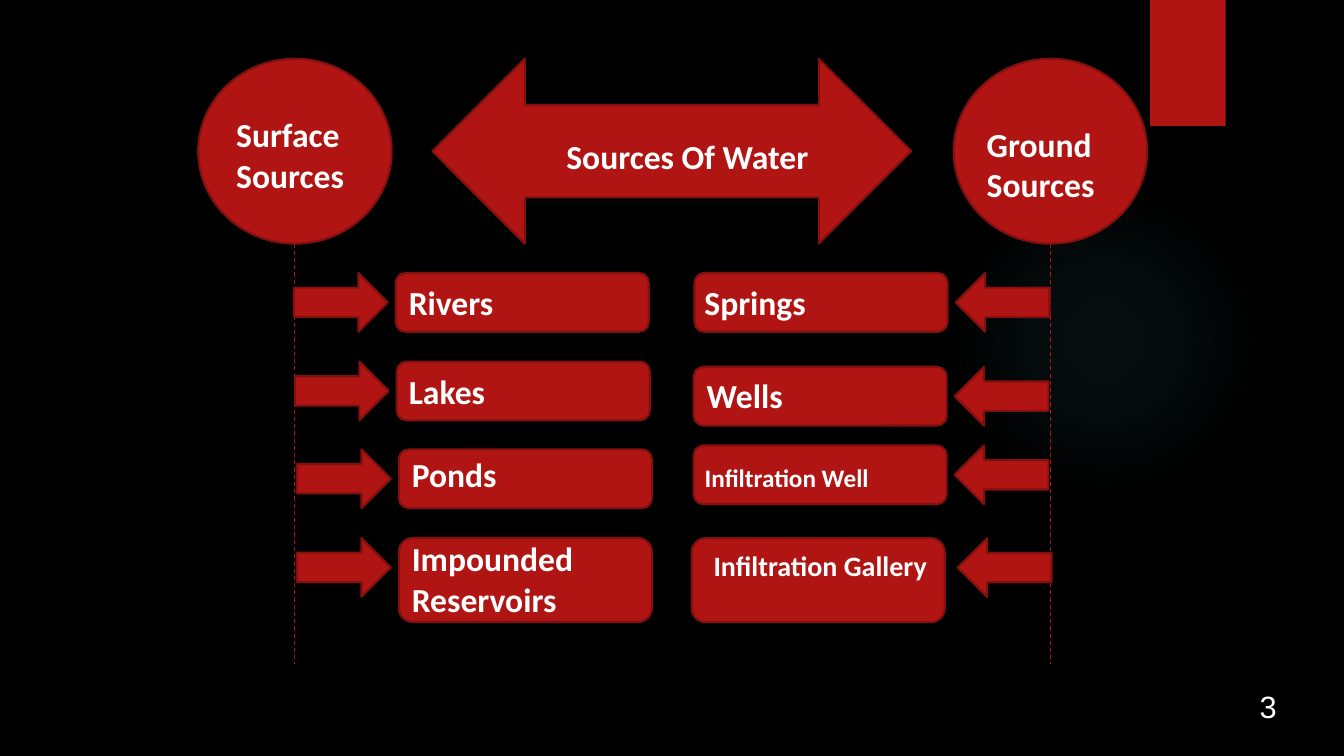
from lxml import etree
from pptx import Presentation
from pptx.dml.color import RGBColor
from pptx.enum.dml import MSO_LINE
from pptx.enum.shapes import MSO_CONNECTOR, MSO_SHAPE
from pptx.oxml import parse_xml
from pptx.oxml.ns import nsdecls, qn
from pptx.util import Pt

OVAL, RECT, ROUNDED = MSO_SHAPE.OVAL, MSO_SHAPE.RECTANGLE, MSO_SHAPE.ROUNDED_RECTANGLE
LEFT_ARROW, RIGHT_ARROW = MSO_SHAPE.LEFT_ARROW, MSO_SHAPE.RIGHT_ARROW
DOUBLE_ARROW = MSO_SHAPE.LEFT_RIGHT_ARROW
STRAIGHT, DASH = MSO_CONNECTOR.STRAIGHT, MSO_LINE.DASH

BLACK = RGBColor(0x00, 0x00, 0x00)
WHITE = RGBColor(0xFF, 0xFF, 0xFF)
RED = RGBColor(0xB0, 0x15, 0x13)
DARK_RED = RGBColor(0x82, 0x10, 0x0E)
TEAL = RGBColor(0x50, 0xB9, 0xC1)

# label, size, top, height, arrow offset, box offset, text offset from box
SURFACE_ROWS = [
    ("Rivers", 24, 153, 42, -0.7, 72, (2.2, 3)),
    ("Lakes", 24, 216.3, 42, 0, 72.7, (1.5, 3)),
    ("Ponds", 24, 279, 42, 1.5, 74.2, (2.2, 0)),
    ("Impounded Reservoirs", 24, 342.3, 60, 1.5, 74.2, (2.2, -3.5)),
]
GROUND_ROWS = [
    ("Springs", 24, 153, 42, -67.6, -254.2, (0, 3)),
    ("Wells", 24, 220, 42, -68.4, -254.8, (2.2, 2.2)),
    ("Infiltration Well", 18, 276.2, 42, -68.4, -254.8, (0.8, 8.7)),
    ("Infiltration Gallery", 20, 342.4, 60, -66.2, -256.2, (8.5, 3.6)),
]


def add_block(s, kind, x, y, w, h, outlined=True):
    sp = s.shapes.add_shape(kind, Pt(x), Pt(y), Pt(w), Pt(h))
    sp.shadow.inherit = False
    sp.fill.solid()
    sp.fill.fore_color.rgb = RED
    if outlined:
        sp.line.color.rgb = DARK_RED
        sp.line.width = Pt(1.5)
    else:
        sp.line.fill.background()
    return sp


def add_label(s, text, x, y, w, h, size=24):
    tf = s.shapes.add_textbox(Pt(x), Pt(y), Pt(w), Pt(h)).text_frame
    tf.word_wrap = True
    p = tf.paragraphs[0]
    p.text = text
    p.font.name = "Calibri"
    p.font.size = Pt(size)
    p.font.bold = True
    p.font.color.rgb = WHITE


def add_glow(s, x, y, size):
    sp = add_block(s, OVAL, x, y, size, size, outlined=False)
    stops = "".join(
        f'<a:gs pos="{pos * 1000}"><a:srgbClr val="{TEAL}">'
        f'<a:alpha val="{alpha * 1000}"/></a:srgbClr></a:gs>'
        for pos, alpha in ((0, 7), (36, 6), (69, 0)))
    gradient = parse_xml(
        f'<a:gradFill {nsdecls("a")}><a:gsLst>{stops}</a:gsLst><a:path path="circle">'
        '<a:fillToRect l="50000" t="50000" r="50000" b="50000"/></a:path></a:gradFill>')
    props = sp._element.spPr
    props.replace(props.find(qn("a:solidFill")), gradient)


def add_page_number(s, number, x, y, w, h):
    tf = s.shapes.add_textbox(Pt(x), Pt(y), Pt(w), Pt(h)).text_frame
    tf.margin_left = tf.margin_right = tf.margin_top = tf.margin_bottom = 0
    tf.word_wrap = True
    p = tf.paragraphs[0]
    p.text = number
    p._p.get_or_add_pPr().set("marL", str(Pt(2)))
    p.line_spacing = Pt(25.3)
    p.font.name = "Arial"
    p.font.size = Pt(22)
    p.font.color.rgb = WHITE


def add_title_arrow(s, x, y, w, h):
    add_block(s, DOUBLE_ARROW, x, y, w, h)
    add_label(s, "Sources Of Water", x + 88.6, y + 51.8, 210, 36)


def add_source_column(s, x, y, title, title_offset, arrow, rows):
    w, h = 138.2, 132
    axis = x + w / 2
    dx, dy = title_offset
    add_block(s, OVAL, x, y, w, h)
    add_label(s, title, x + dx, y + dy, 110, 65.5)
    stem = s.shapes.add_connector(
        STRAIGHT, Pt(axis), Pt(y + h), Pt(axis), Pt(y + h + 300))
    stem.line.color.rgb = RED
    stem.line.width = Pt(0.75)
    stem.line.dash_style = DASH
    etree.SubElement(stem._element.spPr, qn("a:effectLst"))
    for text, size, top, height, arrow_dx, box_dx, (text_dx, text_dy) in rows:
        add_block(s, arrow, axis + arrow_dx, y + top, 67, 42)
        add_block(s, ROUNDED, axis + box_dx, y + top, 180.7, height)
        add_label(s, text, axis + box_dx + text_dx, y + top + text_dy,
                  180, height - 6, size)


def build_sources_slide(prs):
    s = prs.slides.add_slide(prs.slide_layouts[6])
    s.background.fill.solid()
    s.background.fill.fore_color.rgb = BLACK
    add_glow(s, 677.5, 131.8, 221.8)
    add_block(s, RECT, 821.5, 0, 54, 90, outlined=False)
    add_page_number(s, "3", 897.8, 492.5, 16.6, 25.3)
    add_title_arrow(s, 308.9, 42, 342, 132)
    add_source_column(s, 141.6, 42, "Surface Sources", (20, 36),
                      RIGHT_ARROW, SURFACE_ROWS)
    add_source_column(s, 681.2, 42, "Ground Sources", (16.5, 43),
                      LEFT_ARROW, GROUND_ROWS)


def main():
    prs = Presentation()
    prs.slide_width = Pt(960)
    prs.slide_height = Pt(540)
    build_sources_slide(prs)
    prs.save("out.pptx")


if __name__ == "__main__":
    main()
